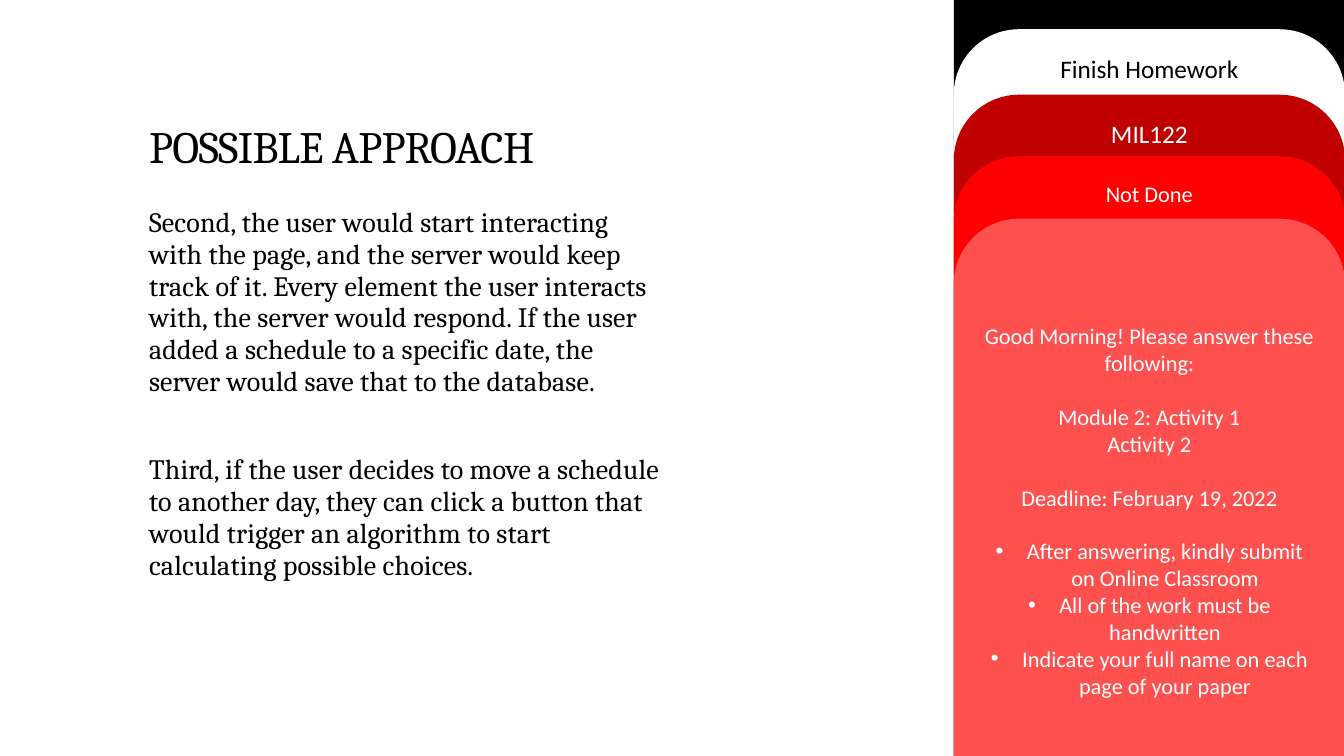
from dataclasses import dataclass

from lxml.etree import SubElement
from pptx import Presentation
from pptx.dml.color import RGBColor
from pptx.enum.shapes import MSO_SHAPE
from pptx.enum.text import MSO_ANCHOR, MSO_AUTO_SIZE, PP_ALIGN
from pptx.oxml.ns import qn
from pptx.util import Inches, Pt

BLACK = RGBColor(0x00, 0x00, 0x00)
WHITE = RGBColor(0xFF, 0xFF, 0xFF)
DARK_RED = RGBColor(0xC0, 0x00, 0x00)
RED = RGBColor(0xFF, 0x00, 0x00)
LIGHT_RED = RGBColor(0xFF, 0x50, 0x50)

SLIDE_WIDTH, SLIDE_HEIGHT = 13.33, 7.5
PANEL_LEFT, PANEL_WIDTH = 9.46, 3.88
TEXT_LEFT = 1.38
MESSAGE_SIZE, MESSAGE_GAP = 16, 19.2
BULLET_INDENT = Inches(0.31)


@dataclass(frozen=True)
class Card:
    """A layer of the schedule panel."""

    top: float
    fill: RGBColor
    color: RGBColor = WHITE
    size: int = 18
    text: str = ""
    shape: MSO_SHAPE = MSO_SHAPE.ROUND_2_SAME_RECTANGLE


@dataclass(frozen=True)
class Line:
    """A paragraph of the message on the front card."""

    text: str
    gap: bool = False
    bullet: bool = False


CARDS = [
    Card(0, BLACK, shape=MSO_SHAPE.RECTANGLE),
    Card(0.29, WHITE, BLACK, text="Finish Homework"),
    Card(0.94, DARK_RED, text="MIL122"),
    Card(1.55, RED, size=16, text="Not Done"),
]
MESSAGE_CARD = Card(2.17, LIGHT_RED)
MESSAGE = [
    Line("Good Morning! Please answer these following:"),
    Line("Module 2: Activity 1", gap=True),
    Line("Activity 2"),
    Line("Deadline: February 19, 2022", gap=True),
    Line("After answering, kindly submit on Online Classroom", gap=True, bullet=True),
    Line("All of the work must be handwritten", bullet=True),
    Line("Indicate your full name on each page of your paper", bullet=True),
]
APPROACH = [
    "Second, the user would start interacting with the page, and the server would keep "
    "track of it. Every element the user interacts with, the server would respond. If the "
    "user added a schedule to a specific date, the server would save that to the database.",
    "Third, if the user decides to move a schedule to another day, they can click a button "
    "that would trigger an algorithm to start calculating possible choices.",
]


def write(para, text: str, font_name: str, size: int, color: RGBColor, tracking: int = 0) -> None:
    """Set the text of a paragraph and format its run."""
    para.text = text
    for span in para.runs:
        span.font.name = font_name
        span.font.size = Pt(size)
        span.font.color.rgb = color
        if tracking:
            span._r.get_or_add_rPr().set("spc", str(tracking))


def add_bullet(para) -> None:
    """Give a paragraph a hanging round bullet."""
    properties = para._p.get_or_add_pPr()
    properties.set("marL", str(BULLET_INDENT))
    properties.set("indent", str(-BULLET_INDENT))
    SubElement(properties, qn("a:buFont")).set("typeface", "Arial")
    SubElement(properties, qn("a:buChar")).set("char", "•")


def add_card(page, card: Card):
    """Draw a card that reaches the bottom of the slide."""
    box = page.shapes.add_shape(
        card.shape, Inches(PANEL_LEFT), Inches(card.top),
        Inches(PANEL_WIDTH), Inches(SLIDE_HEIGHT - card.top),
    )
    box.shadow.inherit = False
    box.fill.solid()
    box.fill.fore_color.rgb = card.fill
    box.line.fill.background()
    frame = box.text_frame
    frame.word_wrap = True
    frame.vertical_anchor = MSO_ANCHOR.TOP
    if card.text:
        para = frame.paragraphs[0]
        write(para, card.text, "Calibri", card.size, card.color)
        para.alignment = PP_ALIGN.CENTER
    return box


def add_message(page) -> None:
    """Draw the front card with the teacher's message."""
    frame = add_card(page, MESSAGE_CARD).text_frame
    frame.vertical_anchor = MSO_ANCHOR.MIDDLE
    frame.margin_top = Inches(0.32)
    frame.text = "\n".join(line.text for line in MESSAGE)
    for para, line in zip(frame.paragraphs, MESSAGE):
        write(para, line.text, "Calibri", MESSAGE_SIZE, MESSAGE_CARD.color)
        para.alignment = PP_ALIGN.CENTER
        if line.gap:
            para.space_before = Pt(MESSAGE_GAP)
        if line.bullet:
            add_bullet(para)


def add_title(page) -> None:
    """Place and format the title."""
    title = page.shapes.title
    title.left, title.top = Inches(TEXT_LEFT), Inches(1.05)
    title.width, title.height = Inches(5.15), Inches(0.72)
    frame = title.text_frame
    frame.auto_size = MSO_AUTO_SIZE.NONE
    frame.vertical_anchor = MSO_ANCHOR.BOTTOM
    para = frame.paragraphs[0]
    write(para, "POSSIBLE APPROACH", "Cambria", 32, BLACK, -50)
    para.alignment = PP_ALIGN.LEFT
    para.line_spacing = 0.9


def add_approach(page) -> None:
    """Draw the explanation under the title."""
    box = page.shapes.add_textbox(Inches(TEXT_LEFT), Inches(2), Inches(5.29), Inches(4.71))
    frame = box.text_frame
    frame.word_wrap = True
    frame.text = "\n".join(APPROACH)
    for para, text in zip(frame.paragraphs, APPROACH):
        write(para, text, "Cambria", 20, BLACK, 10)
        para.line_spacing = 0.95
    frame.paragraphs[1].space_before = Pt(40)


def main() -> None:
    """Build the slide and save the deck."""
    deck = Presentation()
    deck.slide_width, deck.slide_height = Inches(SLIDE_WIDTH), Inches(SLIDE_HEIGHT)
    page = deck.slides.add_slide(deck.slide_layouts[5])
    add_title(page)
    add_approach(page)
    for card in CARDS:
        add_card(page, card)
    add_message(page)
    deck.save("out.pptx")


if __name__ == "__main__":
    main()
